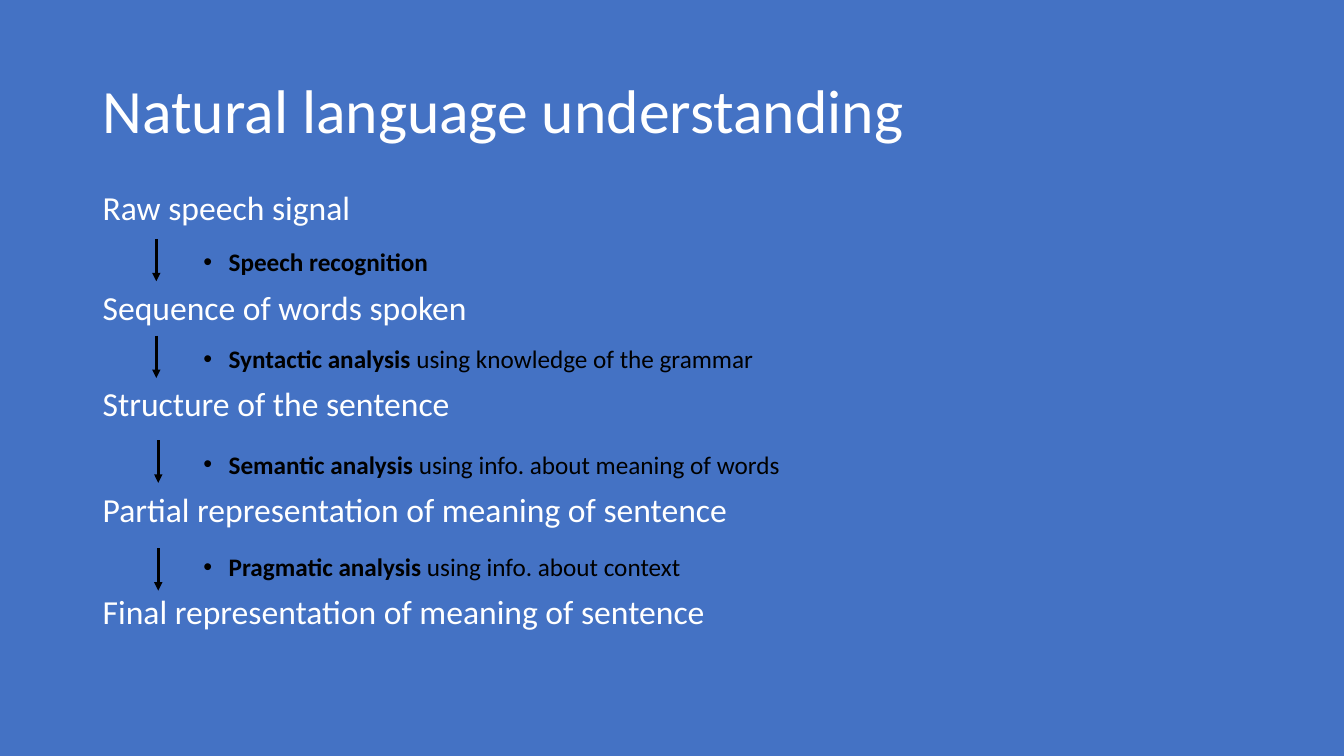
from dataclasses import dataclass

from lxml.etree import SubElement
from pptx import Presentation
from pptx.dml.color import RGBColor
from pptx.enum.shapes import MSO_CONNECTOR as Connector
from pptx.enum.text import MSO_ANCHOR as Anchor
from pptx.oxml.ns import qn
from pptx.slide import Slide
from pptx.text.text import TextFrame, _Paragraph as Paragraph
from pptx.util import Inches, Pt

COLORS = {"background": "4472C4", "stage": "FFFFFF", "analysis": "000000"}
FONT = "Calibri"
ARROW_LENGTH = 0.42


@dataclass(frozen=True)
class Step:
    """An analysis, the arrow beside it and the stage it leads to."""
    analysis: str
    detail: str
    line_spacing: float
    arrow_x: float
    arrow_y: float
    result: str


FIRST_STAGE = "Raw speech signal"
STEPS = [
    Step("Speech recognition", "", 1.4, 1.55, 2.37, "Sequence of words spoken"),
    Step("Syntactic analysis", " using knowledge of the grammar", 1.3, 1.55, 3.33,
         "Structure of the sentence"),
    Step("Semantic analysis", " using info. about meaning of words", 1.6, 1.57, 4.37,
         "Partial representation of meaning of sentence"),
    Step("Pragmatic analysis", " using info. about context", 1.5, 1.57, 5.44,
         "Final representation of meaning of sentence"),
]


def add_text_frame(slide: Slide, left: float, top: float, width: float, height: float,
                   anchor: Anchor) -> TextFrame:
    box = slide.shapes.add_textbox(Inches(left), Inches(top), Inches(width), Inches(height))
    frame = box.text_frame
    frame.word_wrap = True
    frame.vertical_anchor = anchor
    return frame


def add_run(paragraph: Paragraph, text: str, size: int, color: str, bold: bool = False) -> None:
    run = paragraph.add_run()
    run.text = text
    run.font.name = FONT
    run.font.size = Pt(size)
    run.font.bold = bold
    run.font.color.rgb = RGBColor.from_string(COLORS[color])


def write_stage(paragraph: Paragraph, text: str, size: int = 24, space_before: int = 0) -> None:
    paragraph.line_spacing = 0.9
    paragraph.space_before = Pt(space_before)
    add_run(paragraph, text, size, "stage")


def write_analysis(paragraph: Paragraph, step: Step) -> None:
    paragraph.level = 2
    properties = paragraph._p.get_or_add_pPr()
    properties.set("marL", str(Inches(1.25)))
    properties.set("indent", str(Inches(-0.25)))
    SubElement(properties, qn("a:buFont"), typeface="Arial")
    SubElement(properties, qn("a:buChar"), char="•")
    paragraph.line_spacing = step.line_spacing
    paragraph.space_before = Pt(5)
    add_run(paragraph, step.analysis, 18, "analysis", bold=True)
    if step.detail:
        add_run(paragraph, step.detail, 18, "analysis")


def add_down_arrow(slide: Slide, x: float, y: float) -> None:
    arrow = slide.shapes.add_connector(
        Connector.STRAIGHT, Inches(x), Inches(y), Inches(x), Inches(y + ARROW_LENGTH))
    arrow.line.width = Pt(2)
    arrow.line.color.rgb = RGBColor.from_string(COLORS["analysis"])
    SubElement(arrow.line._get_or_add_ln(), qn("a:tailEnd"), type="triangle")
    SubElement(arrow._element.spPr, qn("a:effectLst"))


def main() -> None:
    presentation = Presentation()
    presentation.slide_width = Inches(13.33)
    presentation.slide_height = Inches(7.5)
    slide = presentation.slides.add_slide(presentation.slide_layouts[6])
    slide.background.fill.solid()
    slide.background.fill.fore_color.rgb = RGBColor.from_string(COLORS["background"])

    title = add_text_frame(slide, 0.92, 0.4, 11.5, 1.45, Anchor.MIDDLE)
    write_stage(title.paragraphs[0], "Natural language understanding", size=44)

    pipeline = add_text_frame(slide, 0.92, 1.85, 10, 4.82, Anchor.TOP)
    write_stage(pipeline.paragraphs[0], FIRST_STAGE)
    for step in STEPS:
        write_analysis(pipeline.add_paragraph(), step)
        write_stage(pipeline.add_paragraph(), step.result, space_before=10)
        add_down_arrow(slide, step.arrow_x, step.arrow_y)

    presentation.save("out.pptx")


if __name__ == "__main__":
    main()
